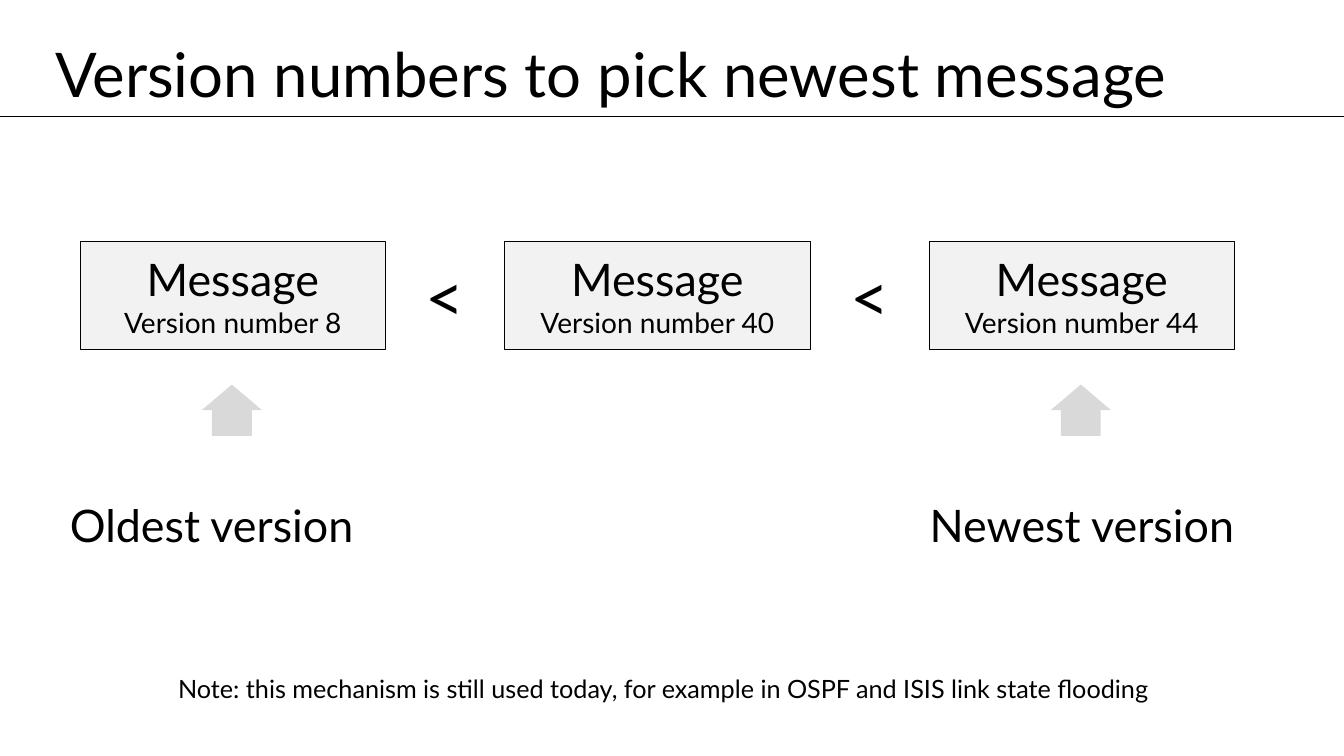
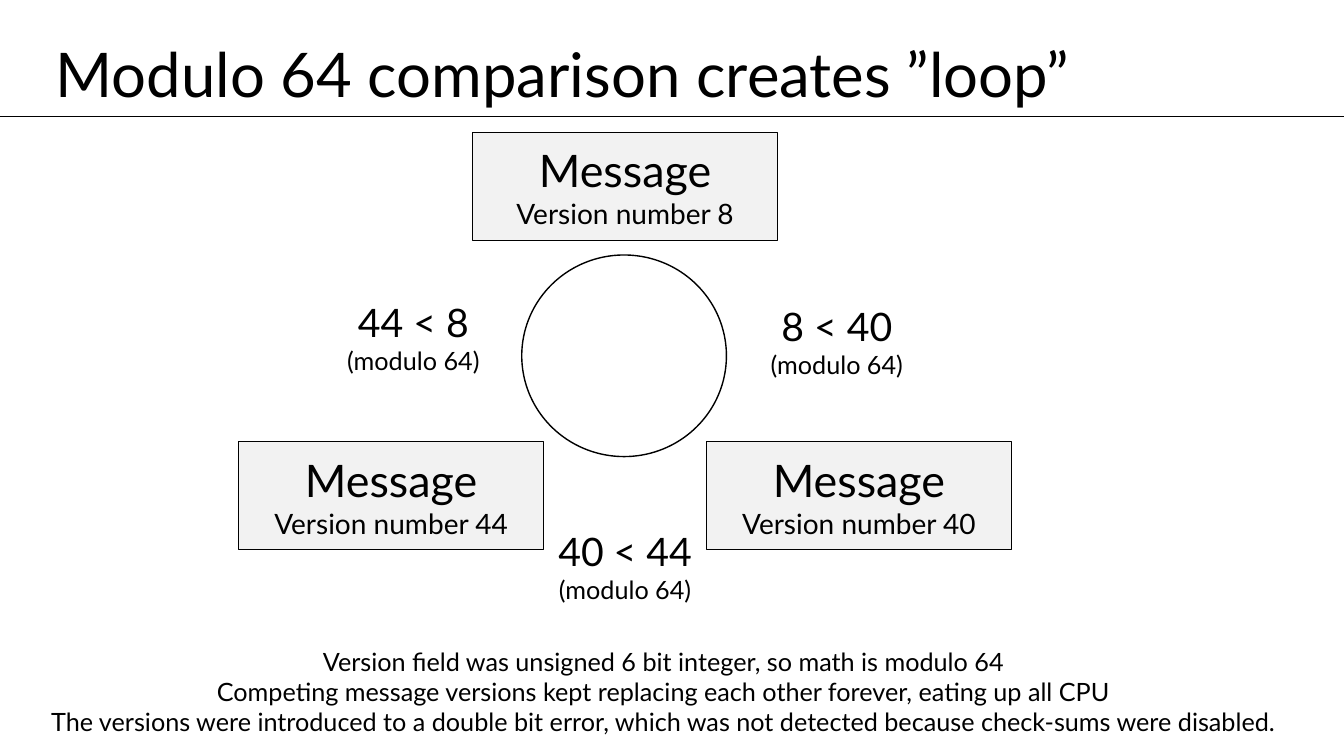
from pptx import Presentation
from pptx.dml.color import RGBColor
from pptx.enum.shapes import MSO_CONNECTOR, MSO_SHAPE
from pptx.enum.text import MSO_ANCHOR, MSO_AUTO_SIZE, PP_ALIGN
from pptx.oxml.ns import qn
from pptx.util import Inches, Pt
from lxml import etree

RECT, OVAL, ARROW = MSO_SHAPE.RECTANGLE, MSO_SHAPE.OVAL, MSO_SHAPE.UP_ARROW
STRAIGHT = MSO_CONNECTOR.STRAIGHT
MIDDLE = MSO_ANCHOR.MIDDLE
LEFT, CENTER = PP_ALIGN.LEFT, PP_ALIGN.CENTER
FIXED = MSO_AUTO_SIZE.NONE

# Content
ORDER = {
    "title": "Version numbers to pick newest message",
    "cards": [8, 40, 44],
    "ends": [(0, "Oldest version", 2.1), (2, "Newest version", 10.73)],
    "notes": ["Note: this mechanism is still used today, "
              "for example in OSPF and ISIS link state flooding"],
}
LOOP = {
    "title": "Modulo 64 comparison creates ”loop”",
    # value, column (-1 left, 0 middle, 1 right), centre height
    "cards": [(8, 0, 1.85), (40, 1, 4.92), (44, -1, 4.92)],
    "tests": [("8 < 40", 1, 3.38), ("40 < 44", 0, 5.61), ("44 < 8", -1, 3.34)],
    "notes": [
        "Version field was unsigned 6 bit integer, so math is modulo 64",
        "Competing message versions kept replacing each other forever, "
        "eating up all CPU",
        "The versions were introduced to a double bit error, "
        "which was not detected because check-sums were disabled.",
    ],
}

# Shared style
WIDE, HIGH = 13.33, 7.5
FONT = "Lato"
HUES = {"ink": "000000", "card": "F2F2F2", "arrow": "D9D9D9"}
CARD = (3.03, 1.07)


def hue(name):
    return RGBColor.from_string(HUES[name])


def place(x, y, size):
    """Turn a centre and a size into left, top, width, height."""
    w, h = size
    return [Inches(v) for v in (x - w / 2, y - h / 2, w, h)]


def write(frame, lines, align=CENTER):
    """Fill a frame with (text, points) lines."""
    frame.word_wrap = True
    frame.auto_size = FIXED
    frame.vertical_anchor = MIDDLE
    for i, (text, size) in enumerate(lines):
        para = frame.add_paragraph() if i else frame.paragraphs[0]
        para.alignment = align
        run = para.add_run()
        run.text = text
        run.font.name = FONT
        run.font.size = Pt(size)
        run.font.color.rgb = hue("ink")


def trim(frame):
    frame.margin_left = frame.margin_right = 0
    frame.margin_top = frame.margin_bottom = 0


def label(slide, x, y, size, lines):
    frame = slide.shapes.add_textbox(*place(x, y, size)).text_frame
    trim(frame)
    write(frame, lines)


def draw(slide, kind, x, y, size, fill=None, line=None):
    shape = slide.shapes.add_shape(kind, *place(x, y, size))
    shape.shadow.inherit = False
    if fill:
        shape.fill.solid()
        shape.fill.fore_color.rgb = hue(fill)
    else:
        shape.fill.background()
    if line:
        shape.line.color.rgb = hue("ink")
        shape.line.width = Pt(line)
    else:
        shape.line.fill.background()
    return shape


def card(slide, x, y, value):
    frame = draw(slide, RECT, x, y, CARD, "card", 0.75).text_frame
    trim(frame)
    write(frame, [("Message", 32), (f"Version number {value}", 20)])


def start(deck, data, y):
    """Add a slide with its title, rule and closing notes."""
    slide = deck.slides.add_slide(deck.slide_layouts[5])
    rule = slide.shapes.add_connector(
        STRAIGHT, 0, Inches(1.15), Inches(WIDE), Inches(1.15))
    rule.line.color.rgb = hue("ink")
    rule.line.width = Pt(0.5)
    etree.SubElement(rule._element.spPr, qn("a:effectLst"))

    title = slide.shapes.title
    title.left, title.top = Inches(0.45), Inches(0.36)
    title.width, title.height = Inches(12.39), Inches(0.81)
    write(title.text_frame, [(data["title"], 44)], LEFT)
    title.text_frame.paragraphs[0].line_spacing = 0.9

    label(slide, 6.58, y, (12.67, 0.63), [(n, 18) for n in data["notes"]])
    return slide


def order(deck):
    """Three messages in a row, oldest to newest."""
    slide = start(deck, ORDER, 6.83)
    first, step, y = 2.31, 4.21, 2.93
    mids = [first + i * step for i in range(len(ORDER["cards"]))]
    for x, value in zip(mids, ORDER["cards"]):
        card(slide, x, y, value)
    for x in mids[:-1]:
        label(slide, x + step / 2, y, (0.92, 1.07), [("<", 48)])
    for i, text, x in ORDER["ends"]:
        arrow = draw(slide, ARROW, mids[i] - 0.01, 4.07, (0.6, 0.51), "arrow")
        arrow.adjustments[0], arrow.adjustments[1] = 0.66, 0.5
        label(slide, x, 5.2, (3.71, 1.07), [(text, 32)])


def loop(deck):
    """Three messages around a circle."""
    slide = start(deck, LOOP, 6.86)
    mid = 6.2
    draw(slide, OVAL, mid - 0.01, 3.53, (2.03, 2), line=1)
    for value, col, y in LOOP["cards"]:
        card(slide, mid + col * 2.32, y, value)
    for text, col, y in LOOP["tests"]:
        label(slide, mid + col * 2.1, y, (2.57, 1.07),
              [(text, 28), ("(modulo 64)", 18)])


def main():
    deck = Presentation()
    deck.slide_width, deck.slide_height = Inches(WIDE), Inches(HIGH)
    order(deck)
    loop(deck)
    deck.save("out.pptx")


if __name__ == "__main__":
    main()
